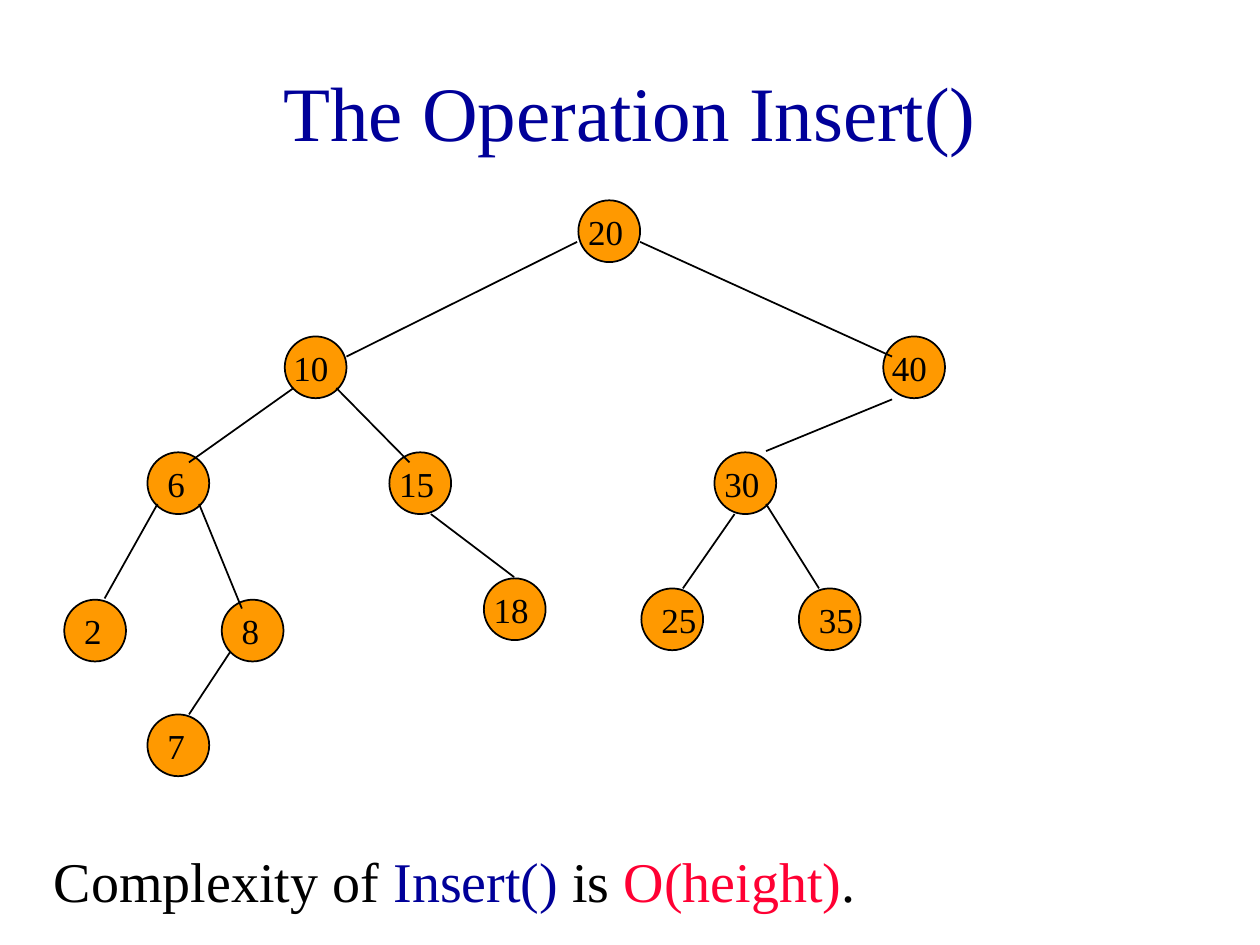
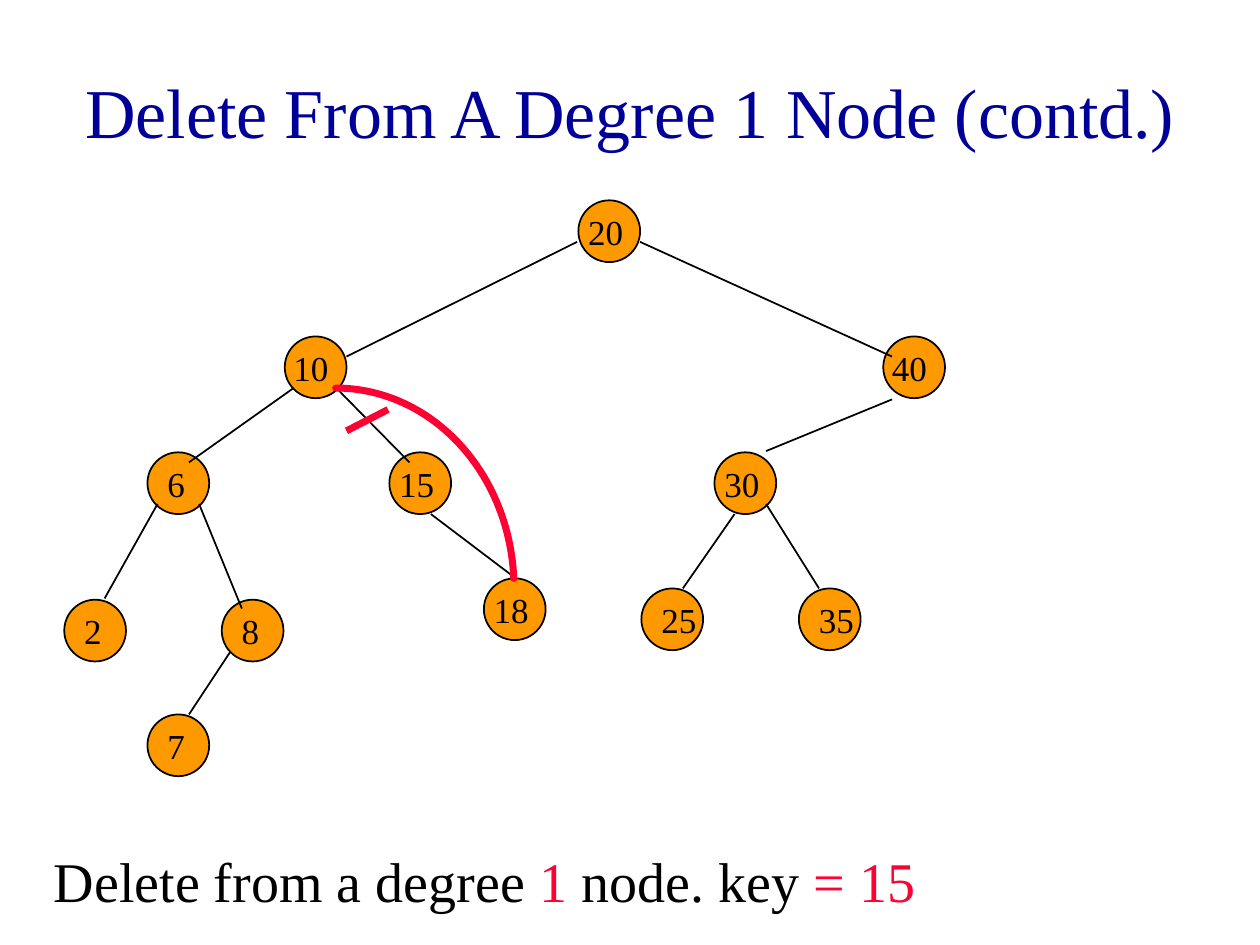
from typing import NamedTuple

from lxml.etree import SubElement
from pptx import Presentation
from pptx.dml.color import RGBColor
from pptx.enum.shapes import MSO_CONNECTOR, MSO_SHAPE
from pptx.enum.text import MSO_ANCHOR, MSO_AUTO_SIZE, PP_ALIGN
from pptx.oxml.ns import qn
from pptx.util import Inches, Pt

FONT = "Times New Roman"
COLORS = {"ink": "000000", "blue": "000099", "red": "FF0033",
          "node": "FF9900", "back": "FFFFFF"}
SIZE = 0.49
THIN, THICK = 0.99, 4


class Node(NamedTuple):
    """A tree node: key, top left corner and shift of its label."""
    key: str
    left: float
    top: float
    shift: float = -0.02


class Edge(NamedTuple):
    """A straight line between two points."""
    x1: float
    y1: float
    x2: float
    y2: float


class Page(NamedTuple):
    """What differs between slides; the note is (text, colour) pairs."""
    title: str
    size: int
    left: float
    note: list
    group: bool


NODES = [
    Node("20", 4.59, 1.59),
    Node("10", 2.26, 2.67, -0.03), Node("40", 7.01, 2.67, -0.03),
    Node("6", 1.17, 3.59, 0.06), Node("15", 3.09, 3.59), Node("30", 5.67, 3.59),
    Node("2", 0.51, 4.76, 0.06), Node("8", 1.76, 4.76, 0.06),
    Node("18", 3.84, 4.59),
    Node("25", 5.09, 4.67, 0.06), Node("35", 6.34, 4.67, 0.06),
    Node("7", 1.17, 5.67, 0.06),
]
EDGES = [
    Edge(4.58, 1.92, 2.75, 2.83), Edge(5.08, 1.92, 7.08, 2.83),
    Edge(2.33, 3.08, 1.5, 3.67), Edge(2.67, 3.08, 3.25, 3.67),
    Edge(7.08, 3.17, 6.08, 3.58),
    Edge(1.25, 4, 0.83, 4.75), Edge(1.58, 4, 1.92, 4.83),
    Edge(3.42, 4.08, 4.08, 4.58),
    Edge(5.83, 4.08, 5.42, 4.67), Edge(6.08, 4, 6.5, 4.67),
    Edge(1.83, 5.17, 1.5, 5.67),
]
PAGES = [
    Page("The Operation Insert()", 44, 0.08,
         [("Complexity of ", "ink"), ("Insert() ", "blue"), ("is ", "ink"),
          ("O(height)", "red"), (".", "ink")], False),
    Page("Delete From A Degree 1 Node (contd.)", 40, 0.25,
         [("Delete from a degree ", "ink"), ("1 ", "red"),
          ("node. key ", "ink"), ("= 15", "red")], True),
]


def paint(name: str) -> RGBColor:
    """Look up a colour by name."""
    return RGBColor.from_string(COLORS[name])


def write(shapes, runs: list, box: tuple, *, size: int, wrap: bool = True,
          grow: bool = True, align=PP_ALIGN.LEFT, anchor=MSO_ANCHOR.TOP,
          before: int = 0) -> None:
    """Add a text box holding one paragraph of (text, colour) runs."""
    frame = shapes.add_textbox(*map(Inches, box)).text_frame
    frame.word_wrap = wrap
    frame.auto_size = (MSO_AUTO_SIZE.SHAPE_TO_FIT_TEXT if grow
                       else MSO_AUTO_SIZE.NONE)
    frame.vertical_anchor = anchor
    par = frame.paragraphs[0]
    par.alignment = align
    par.space_before = Pt(before)
    for text, color in runs:
        run = par.add_run()
        run.text = text
        run.font.name = FONT
        run.font.size = Pt(size)
        run.font.color.rgb = paint(color)


def ring(shapes, node: Node) -> None:
    """Draw the circle of a node."""
    disc = shapes.add_shape(MSO_SHAPE.OVAL, Inches(node.left),
                            Inches(node.top), Inches(SIZE), Inches(SIZE))
    disc.shadow.inherit = False
    disc.fill.solid()
    disc.fill.fore_color.rgb = paint("node")
    disc.line.color.rgb = paint("ink")
    disc.line.width = Pt(THIN)


def label(shapes, node: Node) -> None:
    """Write the key of a node over its circle."""
    width = 0.48 if len(node.key) > 1 else 0.34
    box = (node.left + node.shift, node.top + 0.03, width, 0.43)
    write(shapes, [(node.key, "ink")], box, size=20, wrap=False)


def link(shapes, edge: Edge, color: str = "ink", width: float = THIN) -> None:
    """Draw a straight line without a shadow."""
    line = shapes.add_connector(MSO_CONNECTOR.STRAIGHT, *map(Inches, edge))
    line.line.color.rgb = paint(color)
    line.line.width = Pt(width)
    SubElement(line._element.spPr, qn("a:effectLst"))


def tree(shapes) -> None:
    """Draw the search tree: circles, then edges, then keys."""
    for node in NODES:
        ring(shapes, node)
    for edge in EDGES:
        link(shapes, edge)
    for node in NODES:
        label(shapes, node)


def bypass(shapes) -> None:
    """Cut the edge from 10 to 15 and join 10 to 18 by an arc."""
    arc = shapes.add_shape(MSO_SHAPE.ARC, Inches(1.25), Inches(3.08),
                           Inches(2.83), Inches(3.17))
    # Angles count in 60000ths of a degree, adjustments in 100000ths.
    arc.adjustments[0] = 270 * 0.6
    arc.adjustments[1] = 357 * 0.6
    arc.shadow.inherit = False
    arc.fill.background()
    arc.line.color.rgb = paint("red")
    arc.line.width = Pt(THICK)
    arc._element.spPr.find(qn("a:ln")).set("cap", "rnd")
    link(shapes, Edge(3.08, 3.25, 2.75, 3.42), "red", THICK)


def build(deck, page: Page):
    """Add a slide with title, tree and note, and return it."""
    slide = deck.slides.add_slide(deck.slide_layouts[6])
    slide.background.fill.solid()
    slide.background.fill.fore_color.rgb = paint("back")
    shapes = slide.shapes
    write(shapes, [(page.title, "blue")],
          (page.left, 0.25, 10 - 2 * page.left, 1.25), size=page.size,
          grow=False, align=PP_ALIGN.CENTER, anchor=MSO_ANCHOR.MIDDLE)
    tree(shapes.add_group_shape().shapes if page.group else shapes)
    write(shapes, page.note, (0.33, 6.67, 9, 0.63), size=32, before=20)
    return slide


def main() -> None:
    """Build and save the deck."""
    deck = Presentation()
    deck.slide_width, deck.slide_height = Inches(10), Inches(7.5)
    slides = [build(deck, page) for page in PAGES]
    bypass(slides[1].shapes)
    deck.save("out.pptx")


main()
